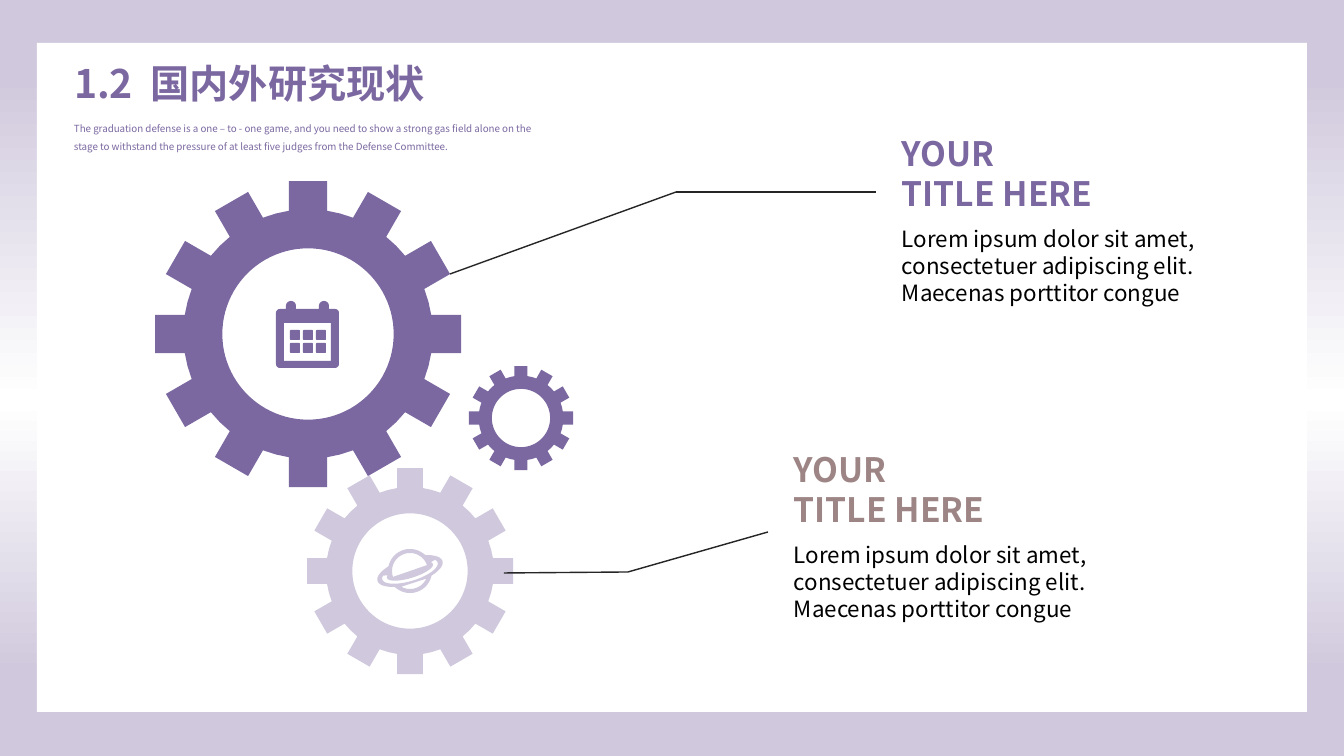
from dataclasses import dataclass
from math import cos, hypot, pi, radians, sin

from lxml import etree
from pptx import Presentation
from pptx.dml.color import RGBColor
from pptx.enum.shapes import MSO_CONNECTOR, MSO_SHAPE
from pptx.enum.text import MSO_ANCHOR, MSO_AUTO_SIZE, PP_ALIGN
from pptx.oxml.ns import qn
from pptx.util import Emu, Pt

RECTANGLE = MSO_SHAPE.RECTANGLE
STRAIGHT = MSO_CONNECTOR.STRAIGHT
TOP = MSO_ANCHOR.TOP
LEFT = PP_ALIGN.LEFT
GROW = MSO_AUTO_SIZE.SHAPE_TO_FIT_TEXT
NO_FIT = MSO_AUTO_SIZE.NONE
EMU_PER_PX = 914400 / 100.8
TITLE_ONLY = 5


@dataclass(frozen=True)
class Theme:
    font: str = "Noto Sans CJK SC"
    purple: str = "7B68A1"
    lilac: str = "D0C9DD"
    mauve: str = "9E8585"
    white: str = "FFFFFF"
    black: str = "000000"
    line: str = "262626"
    title: int = 28
    heading: int = 24
    body: int = 16
    caption: int = 7


THEME = Theme()
LOREM = ("Lorem ipsum dolor sit amet, consectetuer adipiscing elit. "
         "Maecenas porttitor congue")
CAPTION = ("The graduation defense is a one – to - one game, and you need to show "
           "a strong gas field alone on the stage to withstand the pressure of at "
           "least five judges from the Defense Committee.")


def px(length):
    return Emu(round(length * EMU_PER_PX))


def place(shape, left, top, width, height):
    shape.left, shape.top = px(left), px(top)
    shape.width, shape.height = px(width), px(height)


def paint_background(page):
    fill = page.background.fill
    fill.gradient()
    fill.gradient_angle = 270
    stops = page._element.find(".//" + qn("a:gsLst"))
    for stop in list(stops):
        stops.remove(stop)
    for percent, color in ((10, THEME.lilac), (53, THEME.white), (89, THEME.lilac)):
        stop = etree.SubElement(stops, qn("a:gs"), pos=str(percent * 1000))
        etree.SubElement(stop, qn("a:srgbClr"), val=color)


def paint(shape, color):
    shape.fill.solid()
    shape.fill.fore_color.rgb = RGBColor.from_string(color)
    shape.line.fill.background()
    shape.shadow.inherit = False


def add_panel(page):
    panel = page.shapes.add_shape(RECTANGLE, px(37), px(43), px(1270), px(669))
    paint(panel, THEME.white)
    page.shapes._spTree.insert(2, panel._element)


def add_span(para, text, size, color, bold=False):
    span = para.add_run()
    span.text = text
    font = span.font
    font.name, font.size, font.bold = THEME.font, Pt(size), bold
    font.color.rgb = RGBColor.from_string(color)
    etree.SubElement(font._element, qn("a:ea"), typeface=THEME.font)
    return span


def add_title(page):
    title = page.shapes.title
    place(title, 64, 54, 400, 57)
    frame = title.text_frame
    frame.auto_size = NO_FIT
    frame.vertical_anchor = TOP
    para = frame.paragraphs[0]
    para.alignment = LEFT
    para.line_spacing = 1.0
    spans = [add_span(para, text, THEME.title, THEME.purple, True)
             for text in ("1.2", " ", "国内外研究现状")]
    spans[1].font._element.set("spc", "630")


def add_text(page, frame_box, lines, size, color, bold=False, spacing=1.0):
    box = page.shapes.add_textbox(*map(px, frame_box))
    frame = box.text_frame
    frame.word_wrap = True
    frame.auto_size = GROW
    for index, line in enumerate(lines):
        para = frame.add_paragraph() if index else frame.paragraphs[0]
        para.line_spacing = spacing
        add_span(para, line, size, color, bold)


def add_topic(page, left, top, color):
    add_text(page, (left, top + 92, 391, 92), [LOREM], THEME.body, THEME.black)
    add_text(page, (left, top, 215, 92), ["YOUR", "TITLE HERE"],
             THEME.heading, color, True)


def add_outline(page, contours, color):
    contours = [[(px(x), px(y)) for x, y in contour] for contour in contours]
    builder = page.shapes.build_freeform(*contours[0][0], scale=1.0)
    for index, contour in enumerate(contours):
        if index:
            builder.move_to(*contour[0])
        builder.add_line_segments(contour[1:], close=True)
    paint(builder.convert_to_shape(), color)


def arc(x, y, across, down, start, end, tilt=0, steps=24):
    turn = radians(tilt)
    points = []
    for step in range(steps + 1):
        angle = radians(start + (end - start) * step / steps)
        u, v = across * cos(angle), down * sin(angle)
        points.append((x + u * cos(turn) - v * sin(turn),
                       y + u * sin(turn) + v * cos(turn)))
    return points


def rounded(left, top, width, height, radius):
    right, bottom = left + width, top + height
    corners = ((right - radius, bottom - radius), (left + radius, bottom - radius),
               (left + radius, top + radius), (right - radius, top + radius))
    return [point for index, (x, y) in enumerate(corners)
            for point in arc(x, y, radius, radius, index * 90, index * 90 + 90, steps=5)]


def add_gear(page, x, y, radius, color, teeth=12):
    half_tooth, body, hole = radius * 0.125, radius * 0.815, radius * 0.56
    root = (body ** 2 - half_tooth ** 2) ** 0.5
    rim = []
    for tooth in range(teeth):
        turn = 2 * pi * tooth / teeth
        for u, v in ((root, -half_tooth), (radius, -half_tooth),
                     (radius, half_tooth), (root, half_tooth)):
            rim.append((x + u * cos(turn) - v * sin(turn),
                        y + u * sin(turn) + v * cos(turn)))
        middle = turn + pi / teeth
        rim.append((x + body * cos(middle), y + body * sin(middle)))
    add_outline(page, [rim, arc(x, y, hole, hole, 360, 0, steps=96)], color)


def add_calendar(page, left, top, color):
    body = rounded(left, top + 8, 63, 59, 4)
    window = rounded(left + 8, top + 22, 47, 38, 0)[::-1]
    tabs = [[(left + x, top + 8)] + arc(left + x + 5, top + 5, 5, 5, 180, 360)
            + [(left + x + 10, top + 8)] for x in (10, 43)]
    days = [rounded(left + 14 + 13 * column, top + 29 + 13 * row, 10, 10, 1)
            for row in range(2) for column in range(3)]
    add_outline(page, [body, window, *tabs, *days], color)


def add_planet(page, x, y, color):
    tilt, ring, height, globe = -17, 34, 13, 22
    silhouette = []
    for degree in range(0, 360, 3):
        angle = radians(degree)
        turned = radians(degree - tilt)
        edge = 1 / hypot(cos(turned) / ring, sin(turned) / height)
        reach = max(globe, edge)
        silhouette.append((x + reach * cos(angle), y + reach * sin(angle)))
    upper = arc(x, y, 18, 18, 161, 341)[::-1]
    lower = arc(x, y, 18, 18, 25, 119)[::-1]
    band = (arc(x, y, 24, 7, -20, 200, tilt)
            + arc(x, y, 29, 10, 200, -20, tilt))
    add_outline(page, [silhouette, upper, lower, band], color)


def add_leader(page, points):
    for start, end in zip(points, points[1:]):
        leader = page.shapes.add_connector(STRAIGHT, *map(px, start + end))
        leader.line.color.rgb = RGBColor.from_string(THEME.line)
        leader.line.width = Pt(1)
        etree.SubElement(leader._element.spPr, qn("a:effectLst"))


def main():
    deck = Presentation()
    deck.slide_width, deck.slide_height = px(1344), px(756)
    page = deck.slides.add_slide(deck.slide_layouts[TITLE_ONLY])
    paint_background(page)
    add_panel(page)
    add_title(page)
    add_text(page, (64, 112, 480, 45), [CAPTION], THEME.caption, THEME.purple, spacing=1.5)
    add_gear(page, 308, 334, 153, THEME.purple)
    add_gear(page, 410, 571, 103, THEME.lilac)
    add_leader(page, [(450, 274), (676, 192), (876, 192)])
    add_leader(page, [(504, 573), (628, 572), (768, 532)])
    add_gear(page, 521, 418, 52, THEME.purple)
    add_calendar(page, 276, 301, THEME.purple)
    add_planet(page, 410, 571, THEME.lilac)
    add_topic(page, 892, 128, THEME.purple)
    add_topic(page, 784, 444, THEME.mauve)
    deck.save("out.pptx")


if __name__ == "__main__":
    main()
